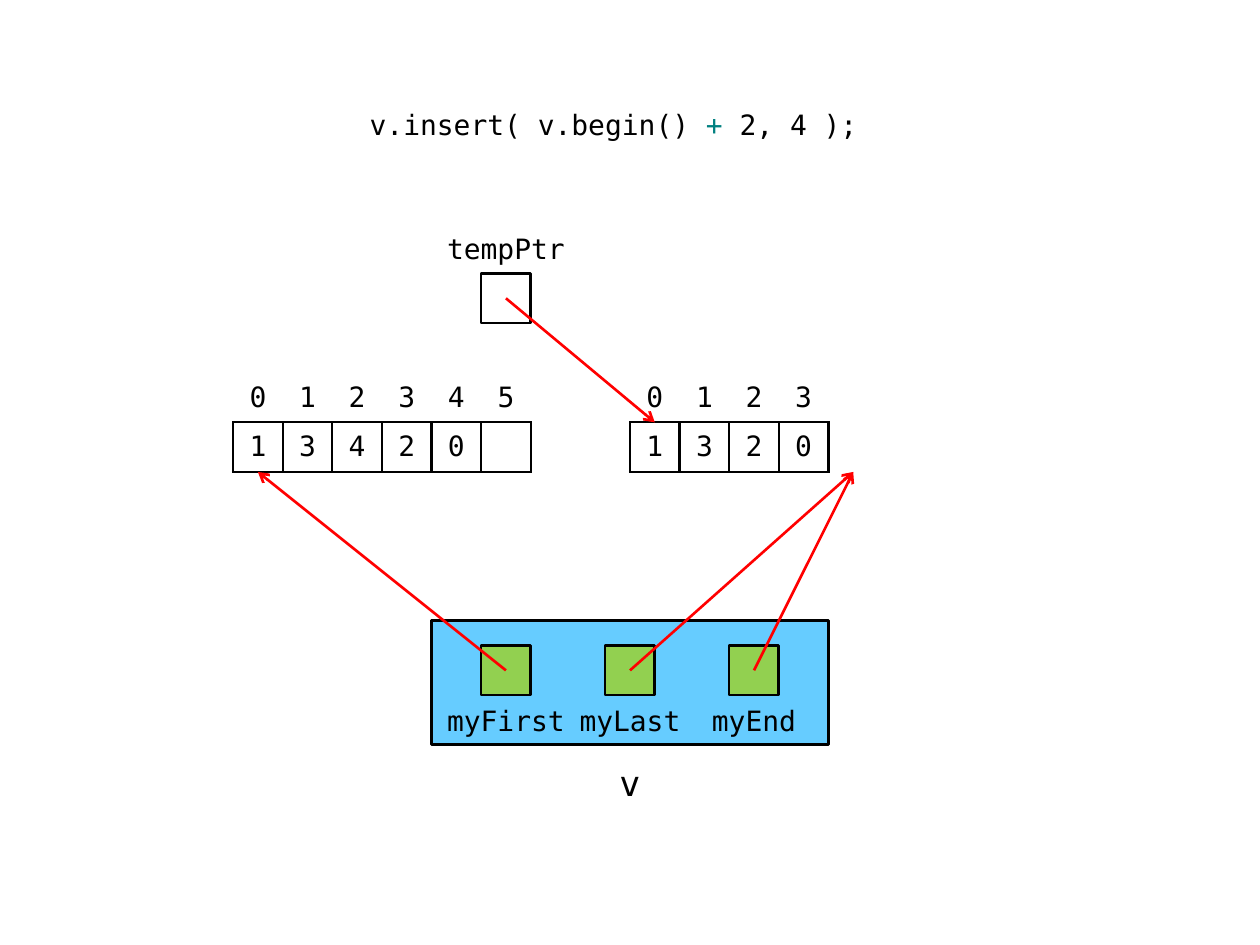
from lxml import etree
from pptx import Presentation
from pptx.dml.color import RGBColor
from pptx.enum.shapes import MSO_CONNECTOR, MSO_SHAPE
from pptx.enum.text import MSO_ANCHOR, PP_ALIGN
from pptx.oxml.ns import qn
from pptx.util import Pt

LINE, RECT, PROCESS = MSO_CONNECTOR.STRAIGHT, MSO_SHAPE.RECTANGLE, MSO_SHAPE.FLOWCHART_PROCESS
MIDDLE, LEFT, CENTER = MSO_ANCHOR.MIDDLE, PP_ALIGN.LEFT, PP_ALIGN.CENTER
BLACK = RGBColor(0x00, 0x00, 0x00)
WHITE = RGBColor(0xFF, 0xFF, 0xFF)
TEAL = RGBColor(0x00, 0x80, 0x80)
BLUE = RGBColor(0x66, 0xCC, 0xFF)
GREEN = RGBColor(0x92, 0xD0, 0x50)
RED = RGBColor(0xFF, 0x00, 0x00)
FONT = "DejaVu Sans Mono"
STROKE = Pt(1.5)

# Places count grid units from the top left corner of the old array.
UNIT, LEFT0, TOP0 = 28.35, 360, 213
CODE = [("v.insert( v.begin() ", BLACK), ("+", TEAL), (" 2, 4 );", BLACK)]
OLD = (0, ["1", "3", "2", "0"])
NEW = (-8, ["1", "3", "4", "2", "0", ""])
# name, centre of its box, top of its box, fill, top of its label
TEMP = ("tempPtr", -2.5, -2, WHITE, -3)
FIELDS = [
    ("myFirst", -2.5, 5.5, GREEN, 6.5),
    ("myLast", 0, 5.5, GREEN, 6.5),
    ("myEnd", 2.5, 5.5, GREEN, 6.5),
]
ARROWS = [
    ((2.5, 6), (4.5, 2)),
    ((0, 6), (4.5, 2)),
    ((-2.5, 6), (-7.5, 2)),
    ((-2.5, -1.5), (0.5, 1)),
]


def spot(x, y):
    return Pt(LEFT0 + x * UNIT), Pt(TOP0 + y * UNIT)


def area(x, y, wide, high):
    return *spot(x, y), Pt(wide * UNIT), Pt(high * UNIT)


def write(frame, runs, size=16, align=CENTER):
    frame.vertical_anchor = MIDDLE
    para = frame.paragraphs[0]
    para.alignment = align
    for text, color in runs:
        run = para.add_run()
        run.text = text
        run.font.name, run.font.size = FONT, Pt(size)
        run.font.color.rgb = color


def box(slide, kind, place, fill):
    shape = slide.shapes.add_shape(kind, *area(*place))
    shape.shadow.inherit = False
    shape.fill.solid()
    shape.fill.fore_color.rgb = fill
    shape.line.color.rgb, shape.line.width = BLACK, STROKE


def label(slide, text, place, size=16):
    shape = slide.shapes.add_shape(PROCESS, *area(*place))
    shape.shadow.inherit = False
    shape.fill.background()
    shape.line.fill.background()
    frame = shape.text_frame
    frame.margin_left = frame.margin_right = 0
    write(frame, [(text, BLACK)], size)


def pointer(slide, name, mid, top, fill, below):
    box(slide, RECT, (mid - 0.5, top, 1, 1), fill)
    label(slide, name, (mid - 1.5, below, 3, 1))


def edge(cell):
    """Draw all four borders of a table cell."""
    props = cell._tc.get_or_add_tcPr()
    for spot_no, side in enumerate(("lnL", "lnR", "lnT", "lnB")):
        line = etree.Element(qn("a:" + side), w=str(STROKE))
        fill = etree.SubElement(line, qn("a:solidFill"))
        etree.SubElement(fill, qn("a:srgbClr"), val=str(BLACK))
        props.insert(spot_no, line)


def array(slide, x, values):
    count = len(values)
    table = slide.shapes.add_table(2, count, *area(x, 0, count, 2)).table
    table.first_row = table.horz_banding = False
    for row, texts in enumerate((map(str, range(count)), values)):
        for col, text in enumerate(texts):
            cell = table.cell(row, col)
            cell.fill.background()
            cell.margin_left = cell.margin_right = Pt(4.5)
            cell.margin_top = cell.margin_bottom = Pt(2.8)
            cell.vertical_anchor = MIDDLE
            write(cell.text_frame, [(text, BLACK)] if text else [])
            if row:
                edge(cell)


def arrow(slide, start, end):
    link = slide.shapes.add_connector(LINE, *spot(*start), *spot(*end))
    link.line.color.rgb, link.line.width = RED, STROKE
    etree.SubElement(link.line._get_or_add_ln(), qn("a:tailEnd"), type="arrow")
    etree.SubElement(link._element.spPr, qn("a:effectLst"))


def code(slide):
    body = slide.placeholders[1]
    body.left, body.top, body.width, body.height = area(-5.5, -5.5, 11, 1)
    write(body.text_frame, CODE, align=LEFT)
    para = body.text_frame.paragraphs[0]
    para.space_before = Pt(0)
    props = para._p.get_or_add_pPr()
    props.set("marL", "0")
    props.set("indent", "0")
    etree.SubElement(props, qn("a:buNone"))


def main():
    deck = Presentation()
    deck.slide_width, deck.slide_height = Pt(720), Pt(540)
    slide = deck.slides.add_slide(deck.slide_layouts[1])
    title = slide.shapes.title._element
    title.getparent().remove(title)
    code(slide)
    for item in (OLD, NEW):
        array(slide, *item)
    box(slide, PROCESS, (-4, 5, 8, 2.5), BLUE)
    for item in (*FIELDS, TEMP):
        pointer(slide, *item)
    label(slide, "v", (-2, 7.5, 4, 1.5), 20)
    for ends in ARROWS:
        arrow(slide, *ends)
    deck.save("out.pptx")


if __name__ == "__main__":
    main()
